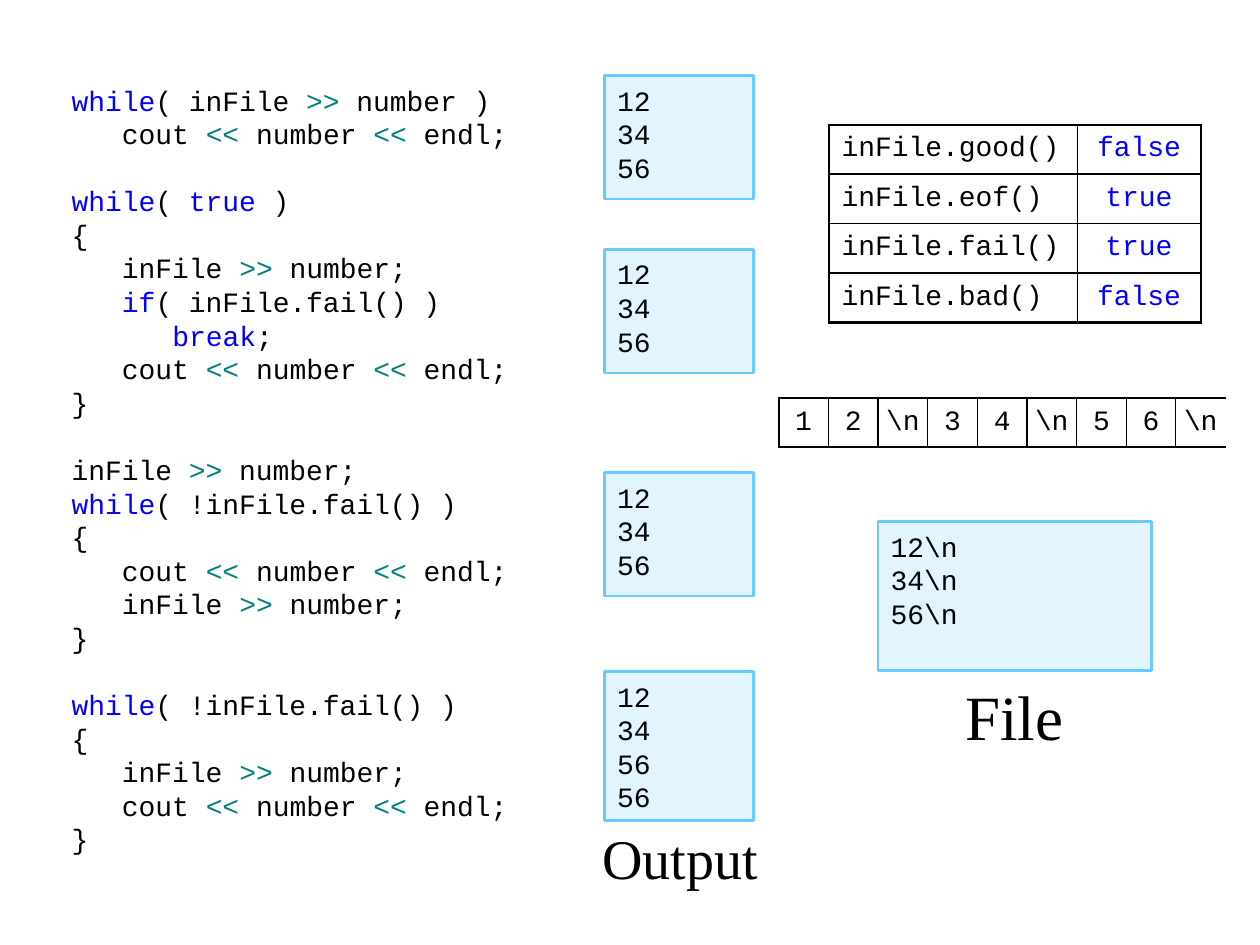
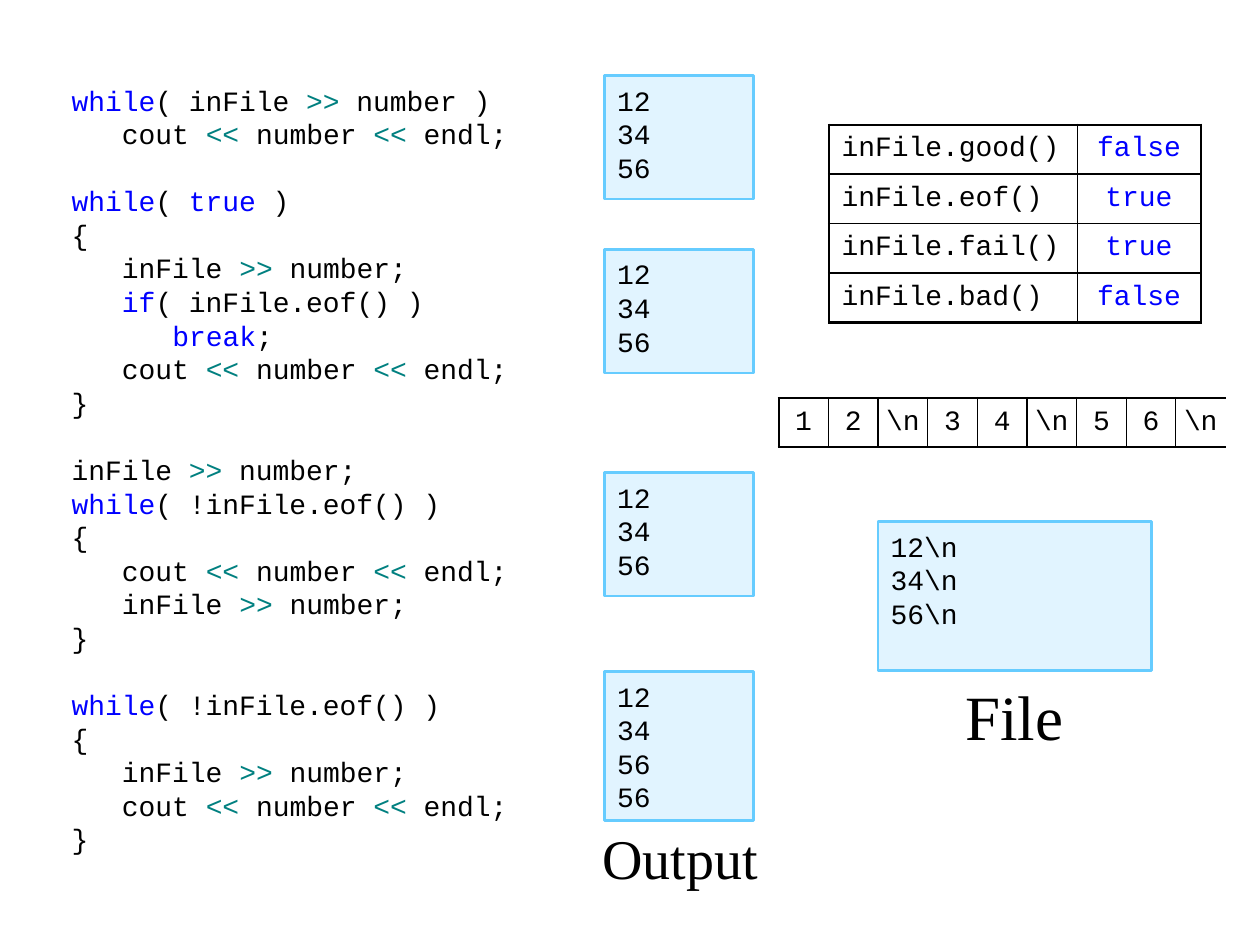
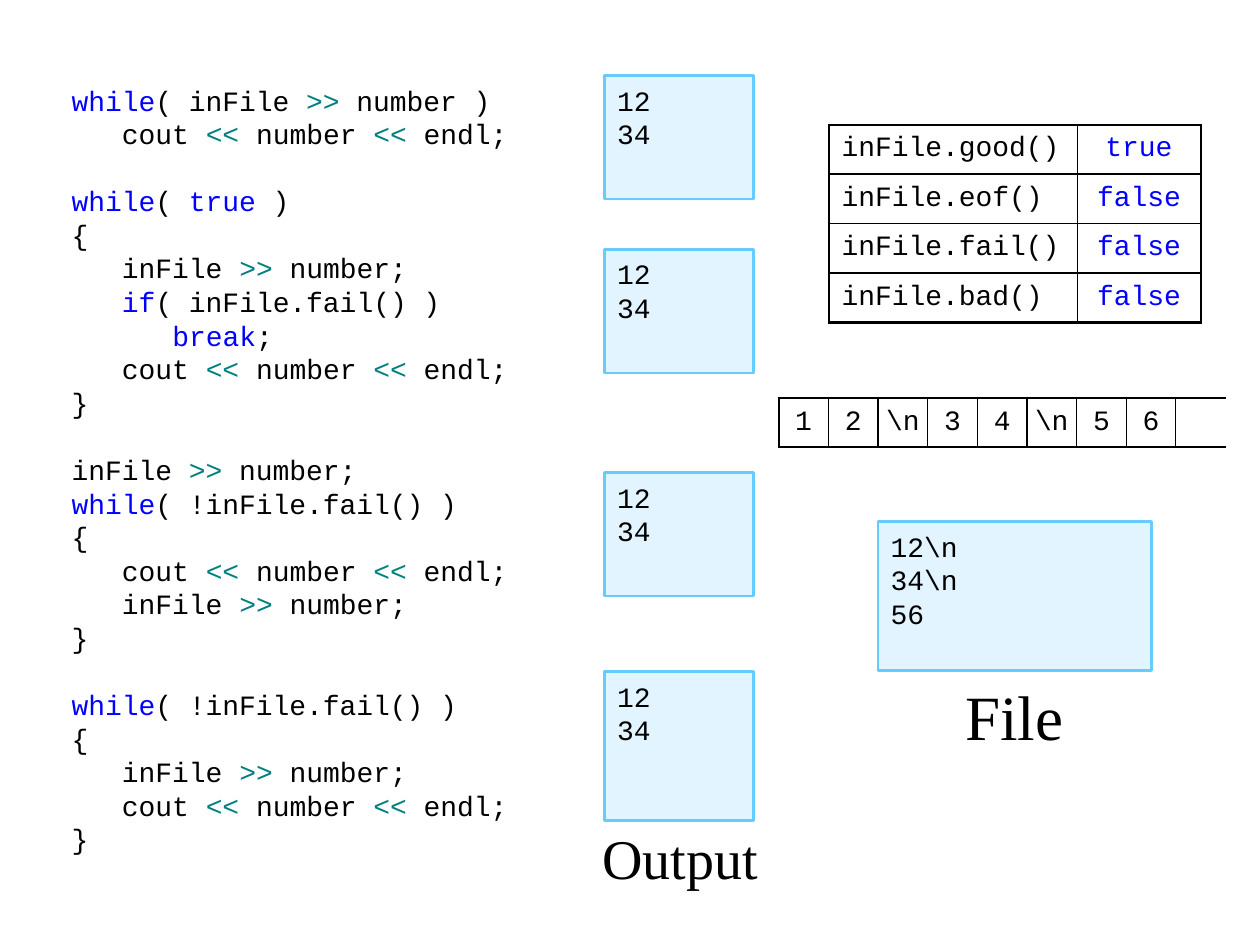
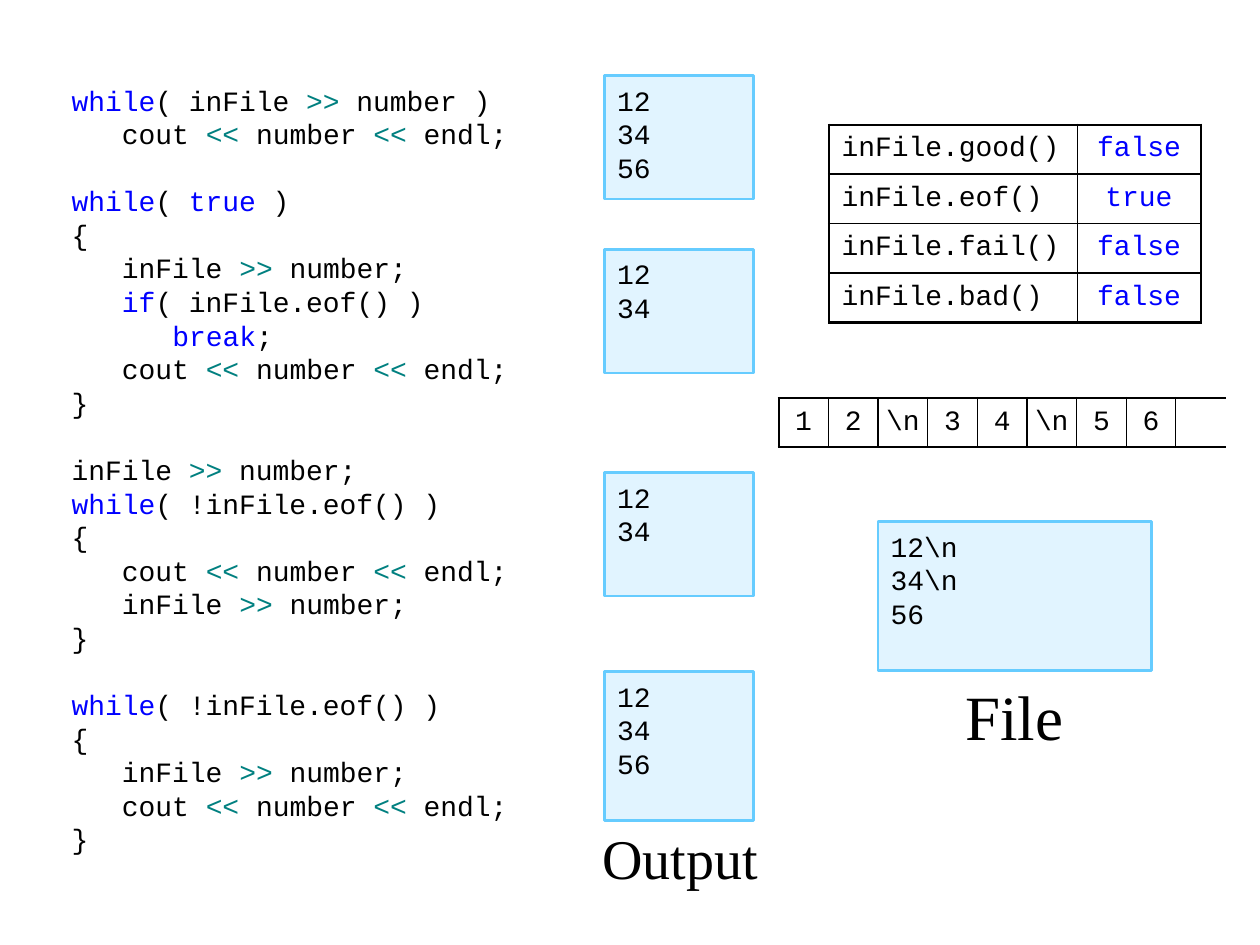
from dataclasses import dataclass
from itertools import groupby

from lxml.etree import SubElement
from pptx import Presentation
from pptx.dml.color import RGBColor
from pptx.enum.shapes import MSO_SHAPE
from pptx.enum.text import MSO_ANCHOR as ANCHOR, PP_ALIGN as ALIGN
from pptx.oxml.ns import qn
from pptx.util import Inches, Pt


@dataclass(frozen=True)
class Theme:
    text: str = "000000"
    keyword: str = "0000FF"
    operator: str = "008080"
    box_fill: str = "E1F4FF"
    box_line: str = "66CCFF"
    code_font: str = "Courier New"
    label_font: str = "Times New Roman"
    code_size: float = 16
    code_leading: float = 19.2
    outer_line: float = 1.5
    state_line: float = 1
    buffer_line: float = 0.75


THEME = Theme()

# Each block is a list of (indent level, line); {test} is the check under study.
CODE_BLOCKS = [
    [(0, "while( inFile >> number )"),
     (1, "cout << number << endl;")],
    [(0, "while( true )"),
     (0, "{"),
     (1, "inFile >> number;"),
     (1, "if( inFile.{test}() )"),
     (2, "break;"),
     (1, "cout << number << endl;"),
     (0, "}")],
    [(0, "inFile >> number;"),
     (0, "while( !inFile.{test}() )"),
     (0, "{"),
     (1, "cout << number << endl;"),
     (1, "inFile >> number;"),
     (0, "}")],
    [(0, "while( !inFile.{test}() )"),
     (0, "{"),
     (1, "inFile >> number;"),
     (1, "cout << number << endl;"),
     (0, "}")],
]
KEYWORDS = {"while", "if", "break", "true", "false"}
STATE_CALLS = ["good", "eof", "fail", "bad"]
NEWLINE = r"\n"
NUMBERS = ["12", "34", "56"]

# outputs: the numbers each code block prints; states: in STATE_CALLS order
SLIDES = [
    dict(test="fail", ends_with_newline=True,
         outputs=[NUMBERS, NUMBERS, NUMBERS, NUMBERS + ["56"]],
         states=["false", "true", "true", "false"]),
    dict(test="eof", ends_with_newline=True,
         outputs=[NUMBERS, NUMBERS, NUMBERS, NUMBERS + ["56"]],
         states=["false", "true", "true", "false"]),
    dict(test="fail", ends_with_newline=False,
         outputs=[NUMBERS[:2]] * 4,
         states=["true", "false", "false", "false"]),
    dict(test="eof", ends_with_newline=False,
         outputs=[NUMBERS, NUMBERS[:2], NUMBERS[:2], NUMBERS],
         states=["false", "true", "false", "false"]),
]

# Places in inches: left, top, width, height
CODE_AT = (0.47, 0.6, 3.74, 6.3)
OUTPUT_LEFT, OUTPUT_WIDTH = 4.8, 1.18
OUTPUT_ROWS = [(0.6, 0.98), (1.98, 0.98), (3.75, 0.98), (5.33, 1.18)]
FILE_AT = (6.97, 4.14, 2.17, 1.18)
STATE_AT = (6.58, 0.99, 2.95, 1.57)
STATE_COLS = [1.97, 0.98]
BUFFER_AT = (6.18, 3.16, 3.55, 0.39)
BUFFER_CELLS = 9
INDENT = 0.4
LABELS = [
    ("Output", (4.61, 6.51, 1.58, 0.59), 32, ANCHOR.MIDDLE),
    ("File", (7.56, 5.33, 0.98, 0.79), 36, ANCHOR.TOP),
]


def inches(at):
    return [Inches(v) for v in at]


def rgb(color):
    return RGBColor.from_string(color)


def set_frame(tf, **values):
    for name, value in values.items():
        setattr(tf, name, value)


def add_run(p, text, color=THEME.text, font=THEME.code_font, size=THEME.code_size):
    r = p.add_run()
    r.text = text
    for name, value in dict(name=font, size=Pt(size), bold=False).items():
        setattr(r.font, name, value)
    r.font.color.rgb = rgb(color)


def char_kind(char):
    return "word" if char.isalpha() else "operator" if char in "<>" else "other"


def highlight(line):
    """Split a code line into (colour, text) pieces."""
    tokens = ["".join(chars) for _, chars in groupby(line, char_kind)]

    def color(token):
        if token in KEYWORDS:
            return THEME.keyword
        return THEME.operator if char_kind(token[0]) == "operator" else THEME.text

    return [(c, "".join(part)) for c, part in groupby(tokens, color)]


def write_lines(tf, blocks):
    """Write blocks of (indent level, line), one blank line's height apart."""
    set_frame(tf, word_wrap=True, vertical_anchor=ANCHOR.TOP, margin_top=Inches(0.06))
    p = None
    for block in blocks:
        for i, (level, line) in enumerate(block):
            gap = THEME.code_leading if p is not None and i == 0 else 0
            p = tf.paragraphs[0] if p is None else tf.add_paragraph()
            form = dict(alignment=ALIGN.LEFT, line_spacing=Pt(THEME.code_leading),
                        space_before=Pt(gap))
            for name, value in form.items():
                setattr(p, name, value)
            if level:
                p._p.get_or_add_pPr().set("marL", str(Inches(INDENT * level)))
            for color, text in highlight(line):
                add_run(p, text, color)


def add_code(slide, test):
    sp = slide.shapes.add_textbox(*inches(CODE_AT))
    write_lines(sp.text_frame, [[(level, line.replace("{test}", test))
                                 for level, line in block] for block in CODE_BLOCKS])


def add_box(slide, at, lines):
    sp = slide.shapes.add_shape(MSO_SHAPE.RECTANGLE, *inches(at))
    sp.shadow.inherit = False
    sp.fill.solid()
    sp.fill.fore_color.rgb = rgb(THEME.box_fill)
    sp.line.color.rgb = rgb(THEME.box_line)
    sp.line.width = Pt(1.5)
    write_lines(sp.text_frame, [[(0, line) for line in lines]])


def add_label(slide, text, at, size, anchor):
    tf = slide.shapes.add_textbox(*inches(at)).text_frame
    set_frame(tf, word_wrap=True, vertical_anchor=anchor)
    tf.paragraphs[0].alignment = ALIGN.CENTER
    add_run(tf.paragraphs[0], text, font=THEME.label_font, size=size)


def set_borders(cell, widths):
    """Set borders from {side: points}; zero points draws no line."""
    tc_pr = cell._tc.get_or_add_tcPr()
    for i, side in enumerate("LRTB"):
        ln = SubElement(tc_pr, qn(f"a:ln{side}"), w=str(Pt(widths[side])))
        tc_pr.insert(i, ln)
        if widths[side]:
            fill = SubElement(ln, qn("a:solidFill"))
            SubElement(fill, qn("a:srgbClr"), val=THEME.text)
        else:
            SubElement(ln, qn("a:noFill"))


def add_grid(slide, at, rows, cols, inner, margins, open_right=False):
    """Add a ruled table of text rows; the first column may be left aligned."""
    table = slide.shapes.add_table(len(rows), len(cols), *inches(at)).table
    table.first_row = table.horz_banding = False
    for column, width in zip(table.columns, cols):
        column.width = Inches(width)
    last_row, last_col = len(rows) - 1, len(cols) - 1
    right = 0 if open_right else THEME.outer_line
    for i, row in enumerate(rows):
        for j, text in enumerate(row):
            cell = table.cell(i, j)
            set_frame(cell, vertical_anchor=ANCHOR.MIDDLE,
                      margin_left=Inches(margins[0]), margin_right=Inches(margins[0]),
                      margin_top=Inches(margins[1]), margin_bottom=Inches(margins[1]))
            cell.fill.background()
            set_borders(cell, {
                "L": inner if j else THEME.outer_line,
                "R": inner if j < last_col else right,
                "T": inner if i else THEME.outer_line,
                "B": inner if i < last_row else THEME.outer_line,
            })
            p = cell.text_frame.paragraphs[0]
            p.alignment = ALIGN.LEFT if text.startswith("inFile") else ALIGN.CENTER
            if text:
                add_run(p, text, THEME.keyword if text in KEYWORDS else THEME.text)


def build_slide(prs, test, ends_with_newline, outputs, states):
    slide = prs.slides.add_slide(prs.slide_layouts[6])
    add_code(slide, test)
    for (top, height), lines in zip(OUTPUT_ROWS, outputs):
        add_box(slide, (OUTPUT_LEFT, top, OUTPUT_WIDTH, height), lines)

    endings = [NEWLINE, NEWLINE, NEWLINE if ends_with_newline else ""]
    add_box(slide, FILE_AT, [n + end for n, end in zip(NUMBERS, endings)])
    for label in LABELS:
        add_label(slide, *label)

    state_rows = [(f"inFile.{call}()", state) for call, state in zip(STATE_CALLS, states)]
    add_grid(slide, STATE_AT, state_rows, STATE_COLS, THEME.state_line, (0.1, 0.04))
    buffer = [cell for n, end in zip(NUMBERS, endings) for cell in (*n, end)]
    add_grid(slide, BUFFER_AT, [buffer], [BUFFER_AT[2] / BUFFER_CELLS] * BUFFER_CELLS,
             THEME.buffer_line, (0, 0), open_right=True)


def main():
    prs = Presentation()
    prs.slide_width, prs.slide_height = Inches(10), Inches(7.5)
    for content in SLIDES:
        build_slide(prs, **content)
    prs.save("out.pptx")


if __name__ == "__main__":
    main()
